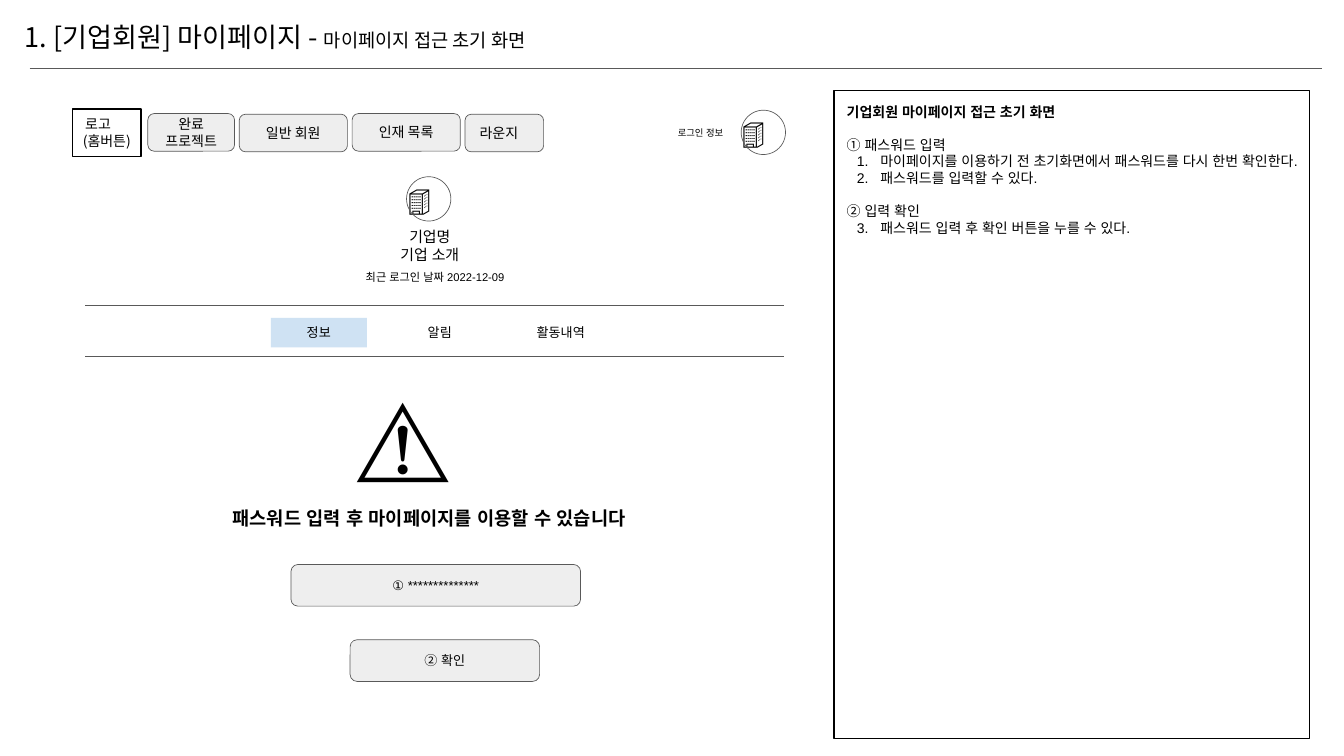
import pptx
import pptx.util
import pptx.dml.color
import pptx.enum.shapes
import pptx.enum.text
import pptx.oxml.ns
import lxml.etree

SCALE = 9144  # EMU in one px, 100 px to the inch
SHAPES = pptx.enum.shapes.MSO_SHAPE
ALIGN = pptx.enum.text.PP_ALIGN
ANCHOR = pptx.enum.text.MSO_ANCHOR
KOREAN = "Noto Sans CJK KR"
LATIN = "Arial"


def px(length):
    return pptx.util.Emu(length * SCALE)


def color(value):
    return pptx.dml.color.RGBColor.from_string(value)


def add_element(parent, tag, **attributes):
    return lxml.etree.SubElement(parent, pptx.oxml.ns.qn(tag), **attributes)


def write(frame, text, size=15, font=LATIN, bold=False, align=ALIGN.LEFT,
          before=0, indent=0, number=None, same_line=False):
    """Write one paragraph, or carry on the last one when same_line is set."""
    paragraph = frame.paragraphs[-1]
    if not same_line:
        if paragraph.runs:
            paragraph = frame.add_paragraph()
        paragraph.alignment = align
        paragraph.space_before = pptx.util.Pt(before)
        properties = paragraph._p.get_or_add_pPr()
        properties.set("marL", str(px(indent)))
        properties.set("indent", str(px(-35 if number else 0)))
        if number:
            bullet_color = add_element(properties, "a:buClr")
            add_element(bullet_color, "a:srgbClr", val=Style.ink)
            add_element(properties, "a:buAutoNum", type="arabicPeriod", startAt=str(number))
        else:
            add_element(properties, "a:buNone")
    run = paragraph.add_run()
    run.text = text
    run.font.size = pptx.util.Pt(size)
    run.font.bold = bold
    run.font.color.rgb = color(Style.ink)
    run.font.name = font
    add_element(run._r.get_or_add_rPr(), "a:ea", typeface=font)


class Style:
    """Holds the wireframe style and the slide being drawn."""
    ink = "000000"
    outline = "595959"
    button_fill = "EEEEEE"
    tab_fill = "CFE2F3"

    def __init__(self, slide):
        self.slide = slide

    def frame(self, shape, inset=10, left=None, anchor=ANCHOR.TOP):
        frame = shape.text_frame
        frame.word_wrap = True
        frame.auto_size = pptx.enum.text.MSO_AUTO_SIZE.NONE
        frame.vertical_anchor = anchor
        frame.margin_left = px(inset if left is None else left)
        frame.margin_top = frame.margin_right = frame.margin_bottom = px(inset)
        return frame

    def border(self, shape, line, width):
        shape.line.color.rgb = color(line)
        shape.line.width = pptx.util.Pt(width)

    def placeholder(self, index, box, **layout):
        shape = self.slide.placeholders[index]
        shape.left, shape.top, shape.width, shape.height = map(px, box)
        return shape, self.frame(shape, inset=19, **layout)

    def shape(self, kind, box, fill=None, line=None, width=0.75, **layout):
        shape = self.slide.shapes.add_shape(kind, *map(px, box))
        shape.shadow.inherit = False
        if fill:
            shape.fill.solid()
            shape.fill.fore_color.rgb = color(fill)
        else:
            shape.fill.background()
        if line:
            self.border(shape, line, width)
        else:
            shape.line.fill.background()
        return self.frame(shape, **layout)

    def button(self, box, text, left=None, align=ALIGN.CENTER, **text_format):
        frame = self.shape(SHAPES.ROUNDED_RECTANGLE, box, self.button_fill,
                           self.outline, left=left, anchor=ANCHOR.MIDDLE)
        write(frame, text, align=align, **text_format)

    def circle(self, left, top):
        self.shape(SHAPES.OVAL, (left, top, 66, 66), line=self.outline)

    def text(self, box, *lines, **text_format):
        frame = self.frame(self.slide.shapes.add_textbox(*map(px, box)))
        for line in lines:
            write(frame, line, **text_format)

    def rule(self, left, right, top):
        line = self.slide.shapes.add_connector(
            pptx.enum.shapes.MSO_CONNECTOR.STRAIGHT, px(left), px(top), px(right), px(top))
        self.border(line, self.outline, 0.75)
        add_element(line._element.spPr, "a:effectLst")


def main():
    presentation = pptx.Presentation()
    presentation.slide_width = px(2000)
    presentation.slide_height = px(1125)
    slide = presentation.slides.add_slide(presentation.slide_layouts[1])
    style = Style(slide)

    # Title
    shape, frame = style.placeholder(0, (0, 0, 2000, 109), left=37, anchor=ANCHOR.MIDDLE)
    write(frame, "1. [기업회원] 마이페이지 - ", size=29, font=KOREAN)
    write(frame, "마이페이지 접근 초기 화면", size=20, font=KOREAN, same_line=True)
    style.rule(44, 1968, 101)

    # Description panel
    shape, frame = style.placeholder(1, (1241, 135, 708, 964))
    style.border(shape, style.ink, 1.5)
    write(frame, "기업회원 마이페이지 접근 초기 화면", bold=True)
    sections = [
        ("① 패스워드 입력", ["마이페이지를 이용하기 전 초기화면에서 패스워드를 다시 한번 확인한다.",
                       "패스워드를 입력할 수 있다."]),
        ("② 입력 확인", ["패스워드 입력 후 확인 버튼을 누를 수 있다."]),
    ]
    number = 0
    for heading, steps in sections:
        write(frame, heading, before=17)
        for step in steps:
            number += 1
            write(frame, step, indent=50, number=number)

    # Navigation bar
    frame = style.shape(SHAPES.RECTANGLE, (108, 162, 102, 71), line=style.ink, width=1.5)
    write(frame, "로고", font=KOREAN, indent=9)
    write(frame, "(홈버튼)", font=KOREAN, align=ALIGN.CENTER)
    for left, top, width, label in [(220, 169, 129, "완료 프로젝트"),
                                    (356, 170, 161, "일반 회원"),
                                    (524, 169, 161, "인재 목록")]:
        style.button((left, top, width, 56), label, font=KOREAN)
    style.button((692, 170, 117, 56), "라운지", left=19, align=ALIGN.LEFT, font=KOREAN)

    # Login information
    style.text((999, 180, 122, 37), "로그인 정보", size=10)
    style.text((1095, 162, 83, 71), "🏢", size=30)
    style.circle(1103, 164)

    # Company profile
    style.text((598, 261, 81, 71), "🏢", size=30)
    style.circle(605, 263)
    style.text((532, 329, 215, 74), "기업명", "기업 소개", size=16, align=ALIGN.CENTER)
    style.text((494, 392, 307, 40), "최근 로그인 날짜 2022-12-09", size=12, align=ALIGN.CENTER)

    # Tabs between two rules
    for top in (455, 530):
        style.rule(127, 1167, top)
    for index, label in enumerate(["정보", "알림", "활동내역"]):
        box = (403 + 180 * index, 473, 143, 44)
        if index == 0:
            frame = style.shape(SHAPES.RECTANGLE, box, style.tab_fill)
            write(frame, label, size=14, align=ALIGN.CENTER)
        else:
            style.text(box, label, size=14, align=ALIGN.CENTER)

    # Password prompt
    style.text((521, 555, 328, 189), "⚠️", size=100)
    style.text((178, 744, 921, 54), "패스워드 입력 후 마이페이지를 이용할 수 있습니다",
               size=20, bold=True, align=ALIGN.CENTER)
    style.button((433, 840, 431, 62), "① **************", size=14)
    style.button((521, 952, 282, 62), "② 확인", size=14)

    presentation.save("out.pptx")


if __name__ == "__main__":
    main()
